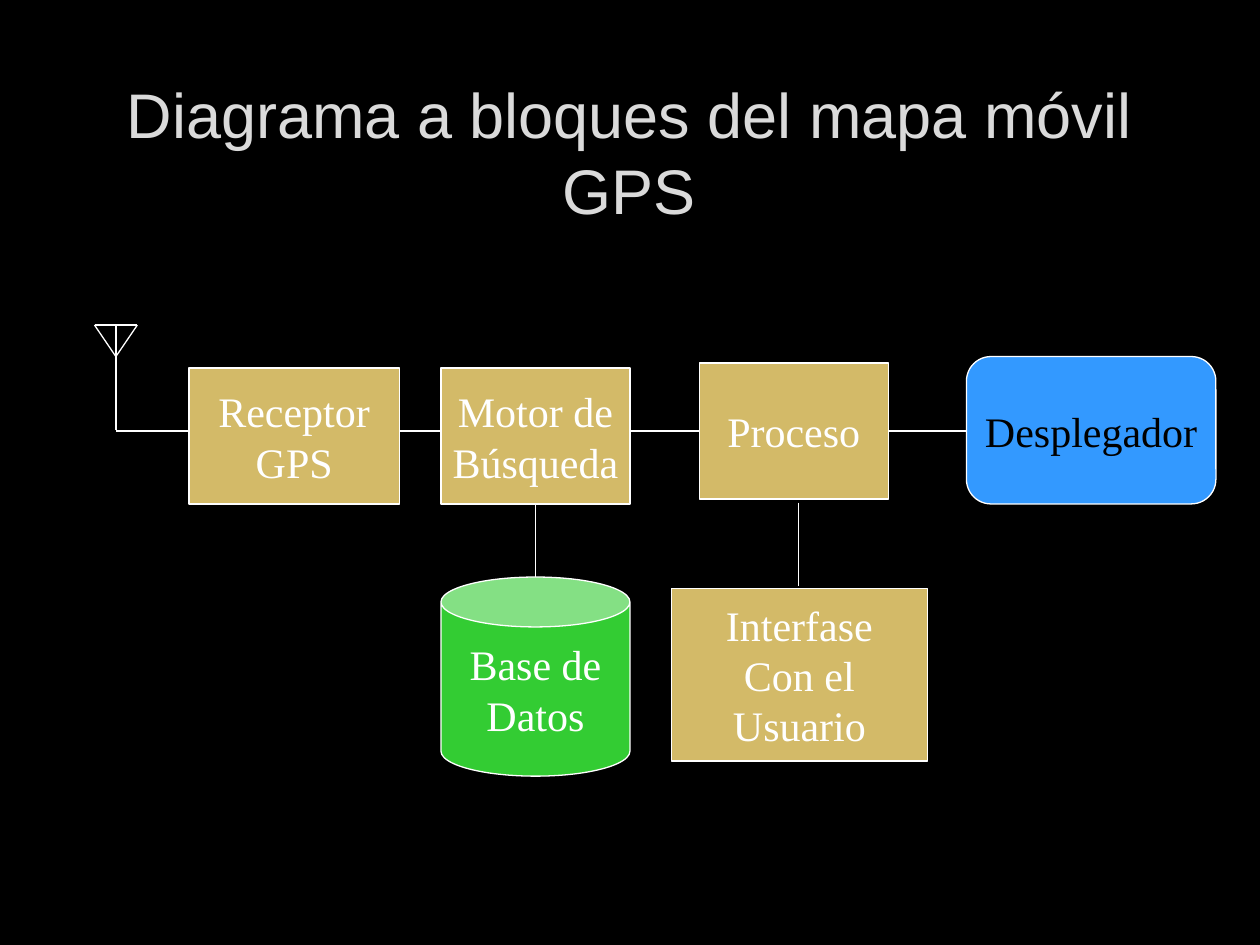
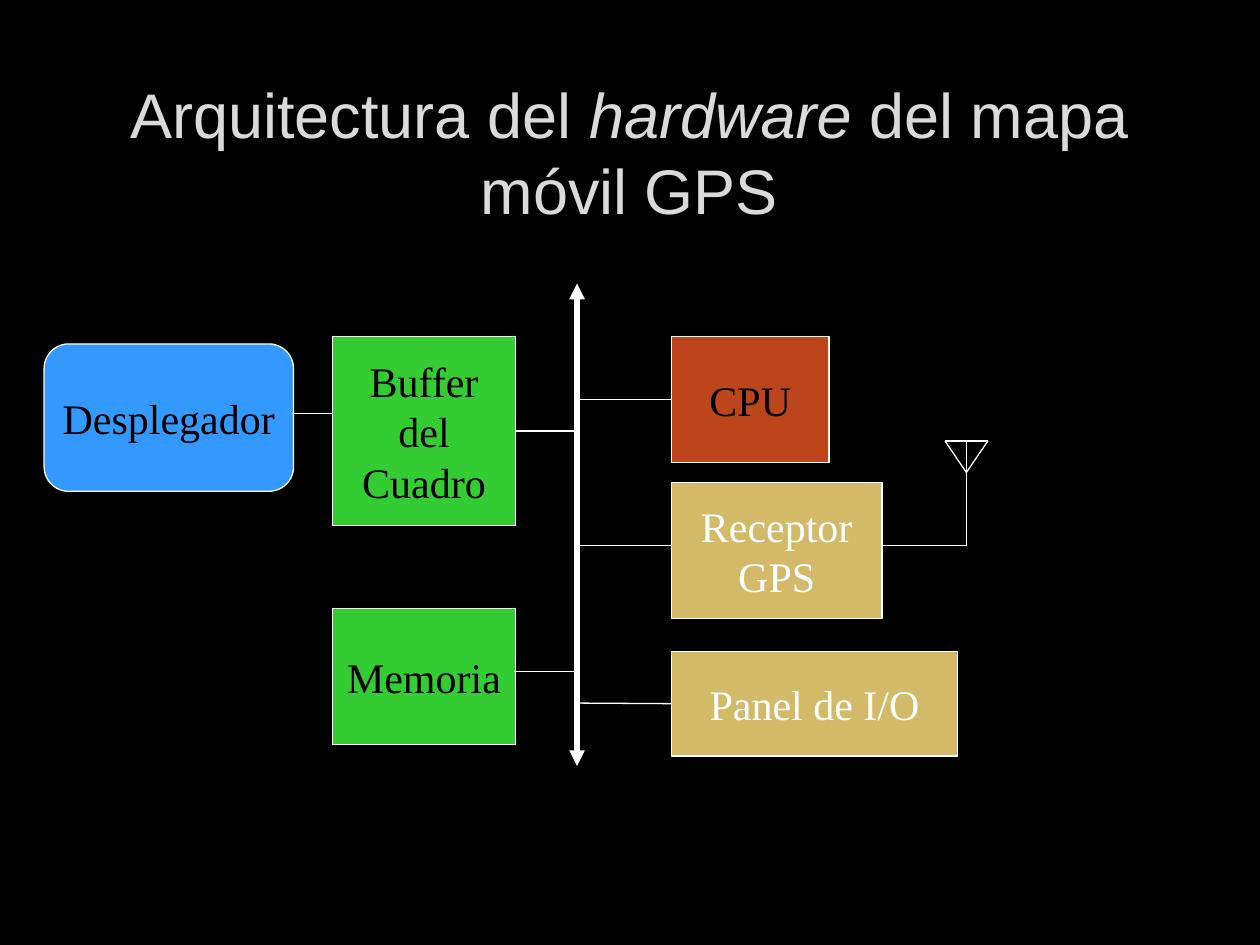
import pptx
import pptx.util
import pptx.dml.color
import pptx.enum.shapes
import pptx.enum.text
import pptx.oxml
import pptx.oxml.ns
import lxml.etree

Inches = pptx.util.Inches
SHAPES = pptx.enum.shapes.MSO_SHAPE

COLORS = {"background": "000000", "title": "DADADA", "line": "FFFFFF", "light": "FFFFFF",
          "dark": "000000", "module": "D3BA68", "storage": "33CC33", "display": "3399FF",
          "processor": "BC451B"}
TITLE_BOX = (0.75, 0.67, 8.49, 1.06)
TITLE_FONT = {"name": "Arial", "size": pptx.util.Pt(36), "bold": False}
BOX_FONT = {"name": "Times New Roman", "size": pptx.util.Pt(24)}
ANTENNA_HALF_WIDTH, ANTENNA_DEPTH, ANTENNA_HEIGHT = 0.17, 0.25, 0.83
TOP, LEFT, BOTTOM, RIGHT = range(4)

RECTANGLE = (SHAPES.RECTANGLE, None)
ROUNDED = (SHAPES.ROUNDED_RECTANGLE, 0.167)
CAN = (SHAPES.CAN, 0.264)

BUS_X = 4.58
SLIDES = [
    {
        "title": [("Diagrama a bloques del mapa móvil GPS", False)],
        "back_lines": [((0.92, 3.42), (7.67, 3.42))],
        "boxes": [
            ("Receptor\nGPS", (1.5, 2.92, 1.67, 1.08), RECTANGLE, "module", "light"),
            ("Motor de\nBúsqueda", (3.5, 2.92, 1.5, 1.08), RECTANGLE, "module", "light"),
            ("Proceso", (5.55, 2.88, 1.5, 1.08), RECTANGLE, "module", "light"),
            ("Interfase\nCon el\nUsuario", (5.33, 4.67, 2.03, 1.37), RECTANGLE, "module", "light"),
            ("Base de\nDatos", (3.5, 4.58, 1.5, 1.58), CAN, "storage", "light"),
            ("Desplegador", (7.67, 2.83, 1.98, 1.17), ROUNDED, "display", "dark"),
        ],
        "lines": [((6.34, 3.99), (6.34, 4.65))],
        "joined_lines": [("Motor de\nBúsqueda", BOTTOM, (4.25, 4.58))],
        "antenna": (0.92, 2.58),
        "bus": None,
    },
    {
        "title": [("Arquitectura del ", False), ("hardware", True), (" del mapa móvil GPS", False)],
        "back_lines": [],
        "boxes": [
            ("Receptor\nGPS", (5.33, 3.83, 1.67, 1.08), RECTANGLE, "module", "light"),
            ("CPU", (5.33, 2.67, 1.25, 1), RECTANGLE, "processor", "dark"),
            ("Panel de I/O", (5.33, 5.17, 2.27, 0.83), RECTANGLE, "module", "light"),
            ("Desplegador", (0.35, 2.73, 1.98, 1.17), ROUNDED, "display", "dark"),
            ("Buffer\ndel\nCuadro", (2.64, 2.67, 1.45, 1.5), RECTANGLE, "storage", "dark"),
            ("Memoria", (2.64, 4.83, 1.45, 1.08), RECTANGLE, "storage", "dark"),
        ],
        "lines": [
            ((5.33, 4.33), (BUS_X, 4.33)),
            ((7.67, 4.33), (7, 4.33)),
            ((2.32, 3.28), (2.64, 3.28)),
            ((4.08, 5.33), (BUS_X, 5.33)),
        ],
        "joined_lines": [
            ("CPU", LEFT, (BUS_X, 3.17)),
            ("Panel de I/O", LEFT, (BUS_X, 5.58)),
            ("Buffer\ndel\nCuadro", RIGHT, (BUS_X, 3.42)),
        ],
        "antenna": (7.67, 3.5),
        "bus": ((BUS_X, 2.25), (BUS_X, 6.08)),
    },
]


def color(name):
    return pptx.dml.color.RGBColor.from_string(COLORS[name])


def format_font(font, values, color_name):
    for attribute, value in values.items():
        setattr(font, attribute, value)
    font.color.rgb = color(color_name)


def add_title(slide, runs):
    title = slide.shapes.title
    for attribute, value in zip(("left", "top", "width", "height"), TITLE_BOX):
        setattr(title, attribute, Inches(value))
    frame = title.text_frame
    frame.auto_size = pptx.enum.text.MSO_AUTO_SIZE.NONE
    frame.vertical_anchor = pptx.enum.text.MSO_ANCHOR.MIDDLE
    paragraph = frame.paragraphs[0]
    paragraph.alignment = pptx.enum.text.PP_ALIGN.CENTER
    for text, italic in runs:
        run = paragraph.add_run()
        run.text = text
        format_font(run.font, {**TITLE_FONT, "italic": italic}, "title")


def add_box(slide, text, place, outline, fill, text_color):
    kind, adjustment = outline
    box = slide.shapes.add_shape(kind, *map(Inches, place))
    if adjustment is not None:
        box.adjustments[0] = adjustment
    box.shadow.inherit = False
    box.fill.solid()
    box.fill.fore_color.rgb = color(fill)
    box.line.color.rgb = color("line")
    box.line.width = pptx.util.Pt(0.75)
    frame = box.text_frame
    frame.word_wrap = False
    frame.vertical_anchor = pptx.enum.text.MSO_ANCHOR.MIDDLE
    frame.text = text
    for paragraph in frame.paragraphs:
        paragraph.alignment = pptx.enum.text.PP_ALIGN.CENTER
        format_font(paragraph.runs[0].font, BOX_FONT, text_color)
    return box


def add_line(shapes, start, end, width=0.75):
    line = shapes.add_connector(pptx.enum.shapes.MSO_CONNECTOR.STRAIGHT,
                                *map(Inches, (*start, *end)))
    line.line.color.rgb = color("line")
    line.line.width = pptx.util.Pt(width)
    lxml.etree.SubElement(line._element.spPr, pptx.oxml.ns.qn("a:effectLst"))
    return line


def add_antenna(slide, x, y):
    group = slide.shapes.add_group_shape()
    left, right = (x - ANTENNA_HALF_WIDTH, y), (x + ANTENNA_HALF_WIDTH, y)
    tip = (x, y + ANTENNA_DEPTH)
    for start, end in (((x, y), (x, y + ANTENNA_HEIGHT)), (left, right), (left, tip), (tip, right)):
        add_line(group.shapes, start, end)


def add_bus(slide, start, end):
    bus = add_line(slide.shapes, start, end, 3)
    for arrowhead in ("a:headEnd", "a:tailEnd"):
        lxml.etree.SubElement(bus.line._get_or_add_ln(), pptx.oxml.ns.qn(arrowhead), type="triangle")


def add_diagram(presentation, content):
    slide = presentation.slides.add_slide(presentation.slide_layouts.get_by_name("Title Only"))
    add_title(slide, content["title"])
    for start, end in content["back_lines"]:
        add_line(slide.shapes, start, end)
    boxes = {box[0]: add_box(slide, *box) for box in content["boxes"]}
    for start, end in content["lines"]:
        add_line(slide.shapes, start, end)
    for name, side, end in content["joined_lines"]:
        add_line(slide.shapes, end, end).begin_connect(boxes[name], side)
    add_antenna(slide, *content["antenna"])
    if content["bus"]:
        add_bus(slide, *content["bus"])


def main():
    presentation = pptx.Presentation()
    presentation.slide_width, presentation.slide_height = Inches(10), Inches(7.5)
    background = presentation.slide_master.background.fill
    background.solid()
    background.fore_color.rgb = color("background")
    for content in SLIDES:
        add_diagram(presentation, content)
    presentation.save("out.pptx")


if __name__ == "__main__":
    main()
